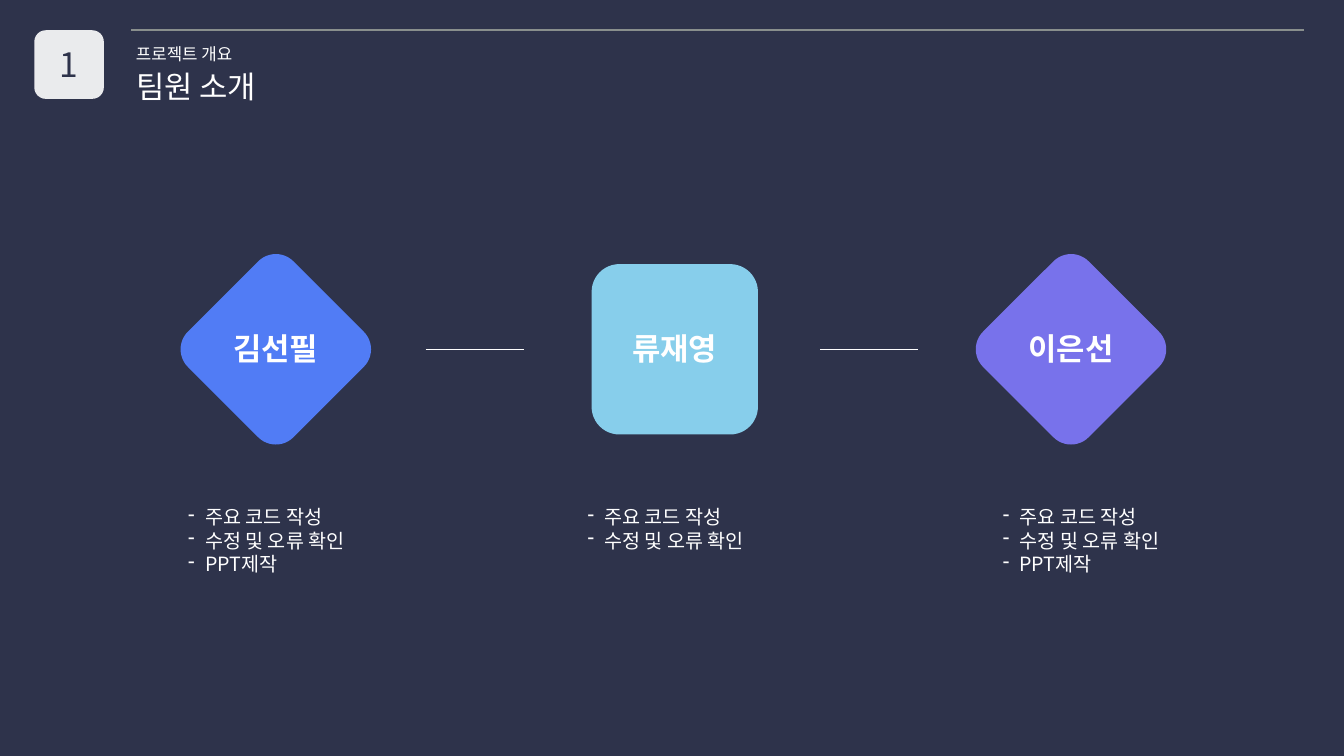
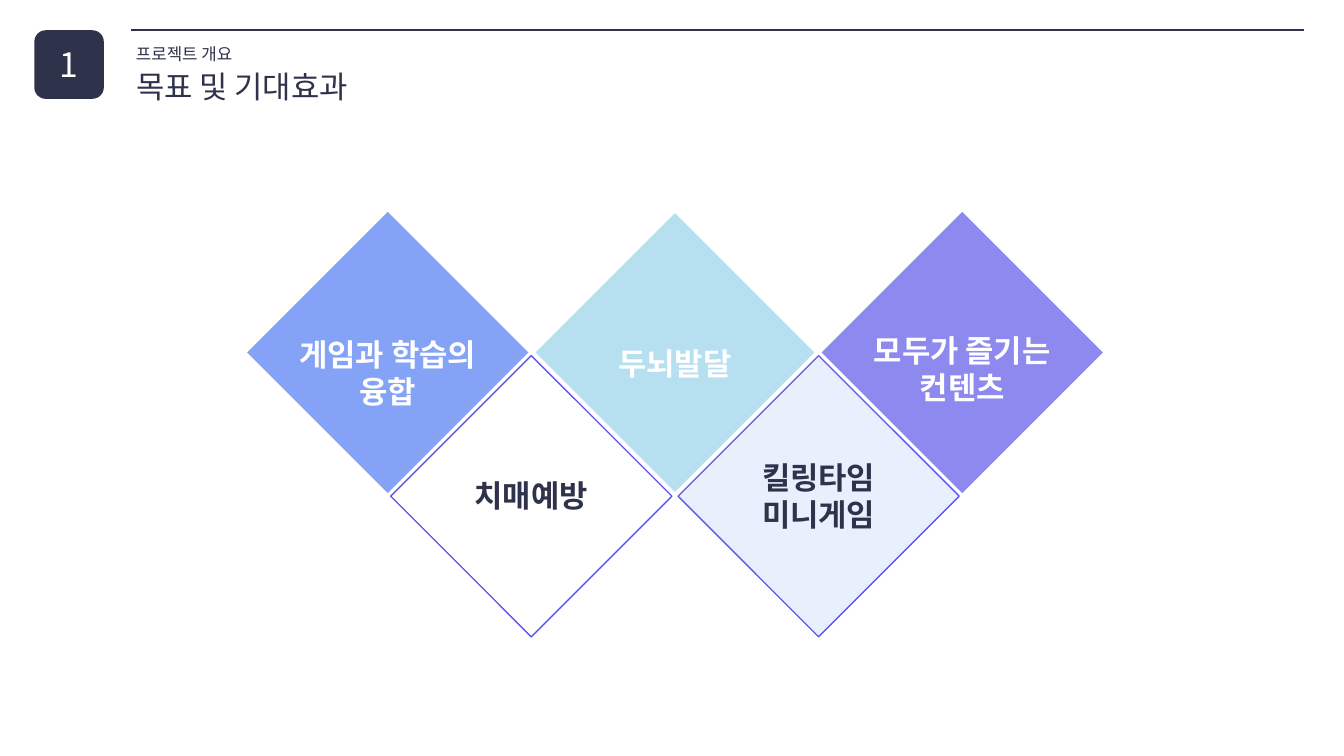
import pptx
import pptx.dml.color
import pptx.enum.shapes
import pptx.enum.text
import pptx.oxml.ns
import pptx.util
from lxml import etree

Pt = pptx.util.Pt
RGBColor = pptx.dml.color.RGBColor
SHAPE = pptx.enum.shapes.MSO_SHAPE
ALIGN = pptx.enum.text.PP_ALIGN
ANCHOR = pptx.enum.text.MSO_ANCHOR
qn = pptx.oxml.ns.qn

NAVY = RGBColor(0x2E, 0x33, 0x4B)
WHITE = RGBColor(0xFF, 0xFF, 0xFF)
GREY = RGBColor(0x89, 0x8F, 0x8D)
BLUE = RGBColor(0x51, 0x7C, 0xF5)
SKY = RGBColor(0x87, 0xCE, 0xEB)
OCEAN = RGBColor(0x10, 0x97, 0xD0)
VIOLET = RGBColor(0x78, 0x72, 0xEB)
INDIGO = RGBColor(0x5E, 0x57, 0xE7)

FONT = "Noto Sans CJK KR"
LINE_HEIGHT = 1.2
INSET_Y = 3.6


class Deck:
    """Presentation style and the slide being drawn."""

    def __init__(self):
        self.prs = pptx.Presentation()
        self.prs.slide_width, self.prs.slide_height = Pt(960), Pt(540)
        self.slide = None

    def new_slide(self, title, back, ink, rule, badge_alpha=100):
        layout = self.prs.slide_layouts.get_by_name("Title Only")
        self.slide = self.prs.slides.add_slide(layout)
        fill = self.slide.background.fill
        fill.solid()
        fill.fore_color.rgb = back
        self.line(93.6, 931.7, 21.6, rule, 1.5)
        self.text(["프로젝트 개요"], 90, 27.4, 400, 12, ink)
        self.text([title], 90, 44.6, 600, 22, ink, sp=self.slide.shapes.title)
        badge = self.shape(SHAPE.ROUNDED_RECTANGLE, 24.5, 21.6, 49.7, 49, ink, badge_alpha)
        badge.text_frame.vertical_anchor = ANCHOR.MIDDLE
        self.paragraphs(badge.text_frame, ["1"], 24, back, ALIGN.CENTER)

    def paragraphs(self, tf, lines, size, color, align, bold=False, indent=0):
        """Fill a frame with paragraphs; a positive indent adds dash bullets."""
        for i, line in enumerate(lines):
            p = tf.paragraphs[0] if i == 0 else tf.add_paragraph()
            p.text, p.alignment = line, align
            font = p.font
            font.size, font.bold, font.name = Pt(size), bold, FONT
            font.color.rgb = color
            props = p._p.get_or_add_pPr()
            etree.SubElement(props.find(qn("a:defRPr")), qn("a:ea"), typeface=FONT)
            if indent:
                props.set("marL", str(Pt(indent)))
                props.set("indent", str(-Pt(indent)))
                bullet = etree.Element(qn("a:buChar"), char="-")
                props.insert(0, bullet)

    def text(self, lines, x, y, w, size, color, align=ALIGN.LEFT, sp=None, **style):
        """Put lines in a new text box, or in the given placeholder."""
        h = len(lines) * size * LINE_HEIGHT + 2 * INSET_Y
        if sp is None:
            sp = self.slide.shapes.add_textbox(0, 0, 0, 0)
        sp.left, sp.top, sp.width, sp.height = Pt(x), Pt(y), Pt(w), Pt(h)
        tf = sp.text_frame
        tf.word_wrap = True
        tf.auto_size = pptx.enum.text.MSO_AUTO_SIZE.SHAPE_TO_FIT_TEXT
        tf.vertical_anchor = ANCHOR.TOP
        self.paragraphs(tf, lines, size, color, align, **style)

    def label(self, lines, center, y, color):
        w = 160
        self.text(lines, center - w / 2, y, w, 22, color, ALIGN.CENTER, bold=True)

    def shape(self, kind, x, y, w, h, color, alpha=100, outline=None):
        sp = self.slide.shapes.add_shape(kind, Pt(x), Pt(y), Pt(w), Pt(h))
        sp.shadow.inherit = False
        sp.fill.solid()
        sp.fill.fore_color.rgb = color
        if alpha < 100:
            clr = sp._element.spPr.find(qn("a:solidFill")).find(qn("a:srgbClr"))
            etree.SubElement(clr, qn("a:alpha"), val=str(alpha * 1000))
        if outline is None:
            sp.line.fill.background()
        else:
            sp.line.color.rgb = outline
            sp.line.width = Pt(1)
        return sp

    def line(self, x1, x2, y, color, width):
        """Draw a horizontal rule."""
        straight = pptx.enum.shapes.MSO_CONNECTOR.STRAIGHT
        c = self.slide.shapes.add_connector(straight, Pt(x1), Pt(y), Pt(x2), Pt(y))
        c.line.color.rgb = color
        c.line.width = Pt(width)
        etree.SubElement(c._element.spPr, qn("a:effectLst"))


def team_slide(deck):
    deck.new_slide("팀원 소개", NAVY, WHITE, GREY, badge_alpha=90)
    middle = 249.5
    jobs = ["주요 코드 작성", "수정 및 오류 확인", "PPT제작"]
    # name, centre, width, height, rotation, colour, left of jobs, jobs
    members = [
        ("김선필", 197, 106.6, 106.6, 45, BLUE, 127.4, jobs),
        ("류재영", 482, 118.8, 121.7, 0, SKY, 412.6, jobs[:2]),
        ("이은선", 765, 106.6, 106.6, 45, VIOLET, 709.2, jobs),
    ]
    for name, center, w, h, rotation, color, jobs_x, tasks in members:
        sp = deck.shape(SHAPE.ROUNDED_RECTANGLE, center - w / 2, middle - h / 2, w, h, color)
        sp.rotation = rotation
        deck.label([name], center, 231.8, WHITE)
        deck.text(tasks, jobs_x, 357.1, 136, 14, WHITE, ALIGN.JUSTIFY, indent=12)
    for x in (304, 586):
        deck.line(x, x + 70, middle, WHITE, 0.5)


def goals_slide(deck):
    deck.new_slide("목표 및 기대효과", WHITE, NAVY, NAVY)
    size, step = 200.9, 102.6
    # lines, top of label, text colour, fill, opacity, outline
    goals = [
        (["게임과 학습의", "융합"], 236.2, WHITE, BLUE, 70, None),
        (["치매예방"], 337, NAVY, WHITE, 70, INDIGO),
        (["두뇌발달"], 242.6, WHITE, OCEAN, 30, WHITE),
        (["킬링타임", "미니게임"], 324, NAVY, BLUE, 12, INDIGO),
        (["모두가 즐기는", "컨텐츠"], 233.3, WHITE, INDIGO, 70, None),
    ]
    for i, (lines, label_y, ink, color, alpha, outline) in enumerate(goals):
        x = 176.5 + i * step
        y = 151.4 + i % 2 * step
        deck.shape(SHAPE.DIAMOND, x, y, size, size, color, alpha, outline)
        deck.label(lines, x + size / 2, label_y, ink)


def main():
    deck = Deck()
    team_slide(deck)
    goals_slide(deck)
    deck.prs.save("out.pptx")


if __name__ == "__main__":
    main()
